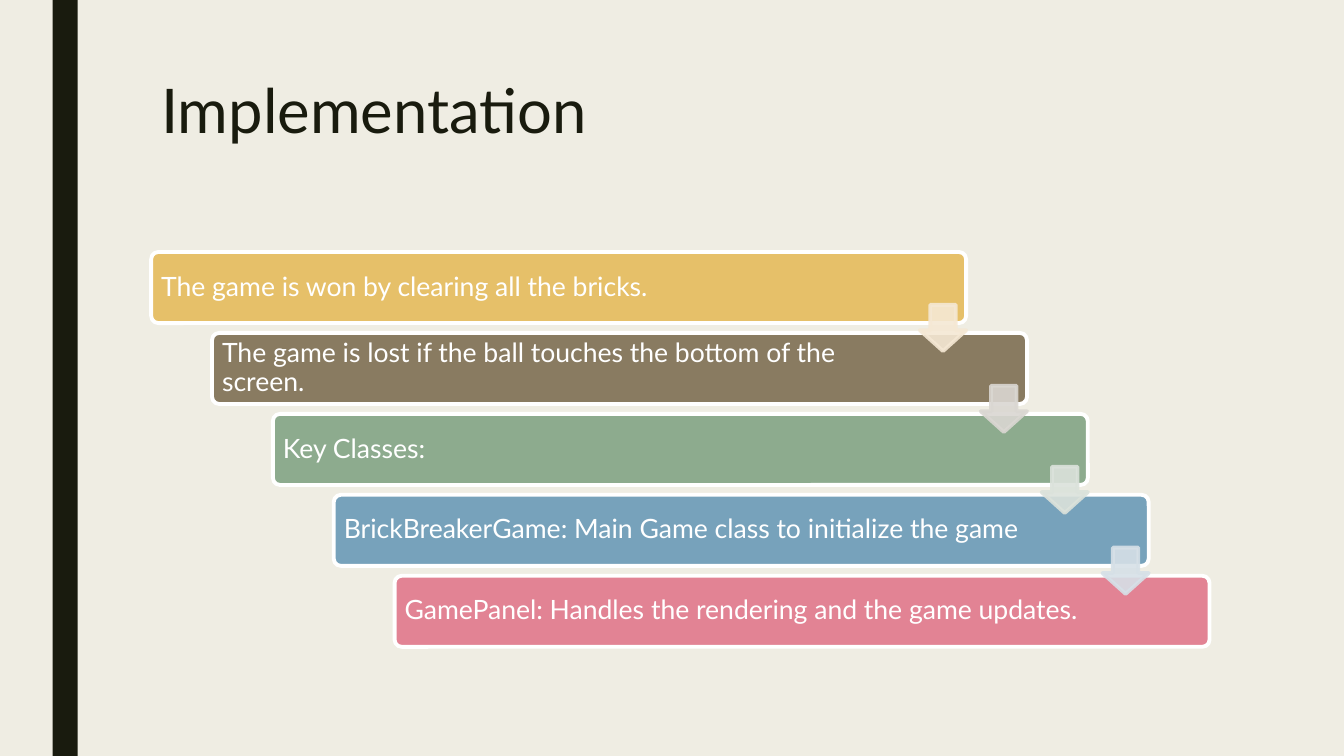
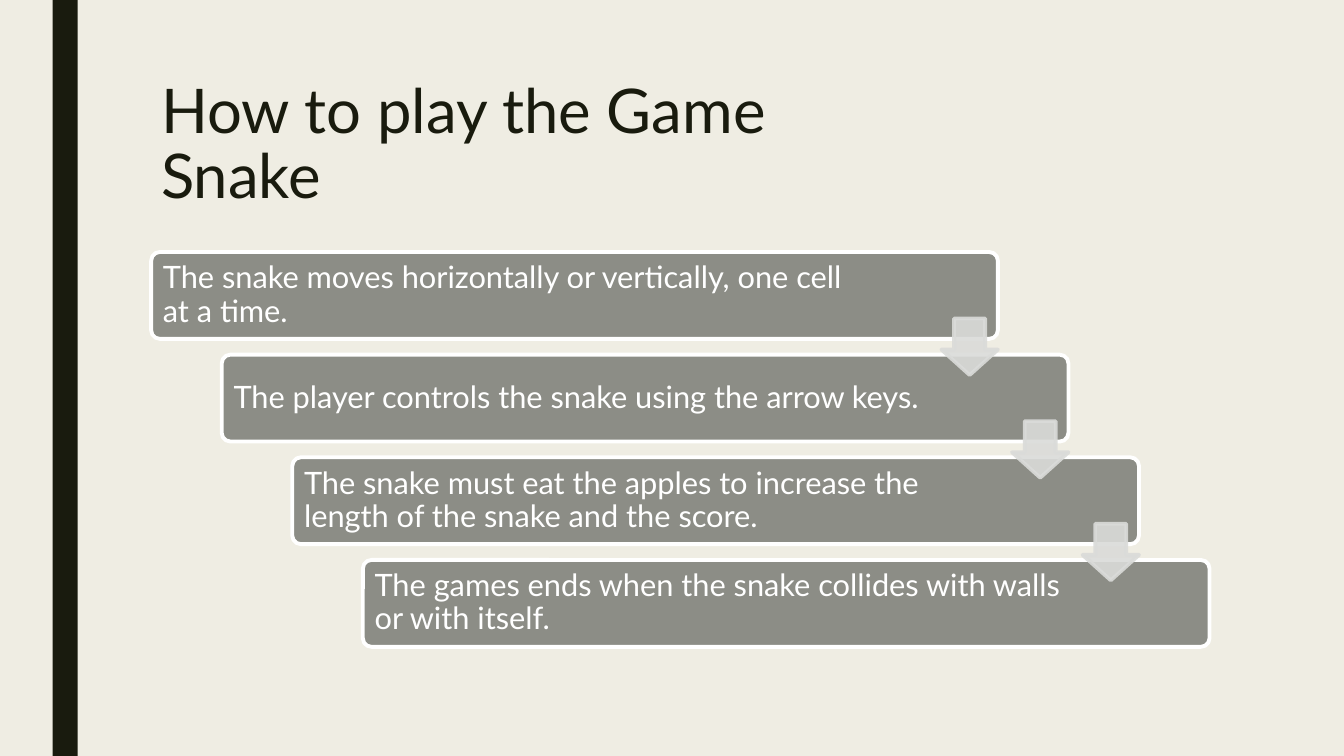
from lxml import etree
from pptx import Presentation
from pptx.dml.color import RGBColor
from pptx.enum import shapes, text
from pptx.oxml import ns
from pptx.util import Pt

SLIDE_WIDTH, SLIDE_HEIGHT = 960, 540
FONT = "Lato"
CREAM = RGBColor(0xEF, 0xED, 0xE3)
INK = RGBColor(0x19, 0x1B, 0x0E)
WHITE = RGBColor(0xFF, 0xFF, 0xFF)
GOLD = RGBColor(0xE6, 0xC0, 0x69)
BROWN = RGBColor(0x89, 0x7B, 0x61)
GREEN = RGBColor(0x8D, 0xAB, 0x8E)
BLUE = RGBColor(0x77, 0xA2, 0xBB)
ROSE = RGBColor(0xE2, 0x83, 0x94)
GREY = RGBColor(0x8C, 0x8D, 0x86)
PALE_GOLD = RGBColor(0xF5, 0xE8, 0xD4)
PALE_BROWN = RGBColor(0xDA, 0xD7, 0xD2)
PALE_GREEN = RGBColor(0xDB, 0xE2, 0xDB)
PALE_BLUE = RGBColor(0xD6, 0xE0, 0xE7)
PALE_GREY = RGBColor(0xDA, 0xDB, 0xD9)

BAND_BOX = (37.5, 0, 18, SLIDE_HEIGHT)
TITLE_BOX = (108, 54, 756, 117)
STAIRS_BOX = (108, 180, 756, 282)
OUTLINE = 2.75
ARROW_OPACITY = 90

SLIDES = [
    dict(
        title="Implementation",
        steps=[
            ("The game is won by clearing all the bricks.", GOLD),
            ("The game is lost if the ball touches the bottom of the screen.", BROWN),
            ("Key Classes:", GREEN),
            ("BrickBreakerGame: Main Game class to initialize the game", BLUE),
            ("GamePanel: Handles the rendering and the game updates.", ROSE),
        ],
        arrow_colors=[PALE_GOLD, PALE_BROWN, PALE_GREEN, PALE_BLUE],
        step_share=(0.77, 0.18),
        size=19,
    ),
    dict(
        title="How to play the Game\vSnake",
        steps=[
            ("The snake moves horizontally or vertically, one cell at a time.", GREY),
            ("The player controls the snake using the arrow keys.", GREY),
            ("The snake must eat the apples to increase the length of the snake "
             "and the score.", GREY),
            ("The games ends when the snake collides with walls or with itself.", GREY),
        ],
        arrow_colors=[PALE_GREY] * 3,
        step_share=(0.8, 0.22),
        size=22,
    ),
]


def write(frame, content, *, size, color, spacing, anchor, insets):
    """Fill a text frame; insets are left, top, right, bottom in points."""
    frame.word_wrap = True
    frame.vertical_anchor = anchor
    (frame.margin_left, frame.margin_top,
     frame.margin_right, frame.margin_bottom) = map(Pt, insets)
    paragraph = frame.paragraphs[0]
    paragraph.text = content
    paragraph.alignment = text.PP_ALIGN.LEFT
    paragraph.line_spacing = spacing
    for run in paragraph.runs:
        run.font.name = FONT
        run.font.size = Pt(size)
        run.font.color.rgb = color


def add_block(slide, preset, box, fill, line=None, adjustments=()):
    block = slide.shapes.add_shape(preset, *map(Pt, box))
    block.shadow.inherit = False
    block.fill.solid()
    block.fill.fore_color.rgb = fill
    if line is None:
        block.line.fill.background()
    else:
        block.line.color.rgb = line
        block.line.width = Pt(OUTLINE)
    for index, value in enumerate(adjustments):
        block.adjustments[index] = value
    return block


def set_opacity(block, percent):
    """Make both fill and outline partly transparent."""
    for color in block.element.spPr.iter(ns.qn("a:srgbClr")):
        etree.SubElement(color, ns.qn("a:alpha"), val=str(percent * 1000))


def add_title(slide, box, title):
    heading = slide.shapes.add_textbox(*map(Pt, box))
    write(heading.text_frame, title, size=44, color=INK, spacing=0.89,
          anchor=text.MSO_ANCHOR.TOP, insets=(7.2, 3.6, 7.2, 3.6))


def add_stairs(slide, box, steps, arrow_colors, step_share, size):
    """Descending steps, with an arrow centred on each gap between two."""
    left, top, width, height = box
    step_width, step_height = width * step_share[0], height * step_share[1]
    shift = (width - step_width) / (len(steps) - 1)
    pitch = (height - step_height) / (len(steps) - 1)
    arrow_side = 0.65 * step_height
    inset = 0.3 * size

    for i, (content, fill) in enumerate(steps):
        step = add_block(
            slide, shapes.MSO_SHAPE.ROUNDED_RECTANGLE,
            (left + i * shift, top + i * pitch, step_width, step_height),
            fill, WHITE, [0.1])
        write(step.text_frame, content, size=size, color=WHITE, spacing=0.9,
              anchor=text.MSO_ANCHOR.MIDDLE,
              insets=(inset, inset, 2.45 * arrow_side, inset))

    first_gap_middle = top + (step_height + pitch) / 2
    for i, color in enumerate(arrow_colors):
        arrow = add_block(
            slide, shapes.MSO_SHAPE.DOWN_ARROW,
            (left + i * shift + step_width - arrow_side,
             first_gap_middle + i * pitch - arrow_side / 2,
             arrow_side, arrow_side),
            color, color, [0.55, 0.45])
        set_opacity(arrow, ARROW_OPACITY)


def add_stairs_slide(prs, title, **stairs):
    slide = prs.slides.add_slide(prs.slide_layouts[6])
    slide.background.fill.solid()
    slide.background.fill.fore_color.rgb = CREAM
    add_block(slide, shapes.MSO_SHAPE.RECTANGLE, BAND_BOX, INK)
    add_title(slide, TITLE_BOX, title)
    add_stairs(slide, STAIRS_BOX, **stairs)


def main():
    prs = Presentation()
    prs.slide_width, prs.slide_height = Pt(SLIDE_WIDTH), Pt(SLIDE_HEIGHT)
    for content in SLIDES:
        add_stairs_slide(prs, **content)
    prs.save("out.pptx")


if __name__ == "__main__":
    main()
